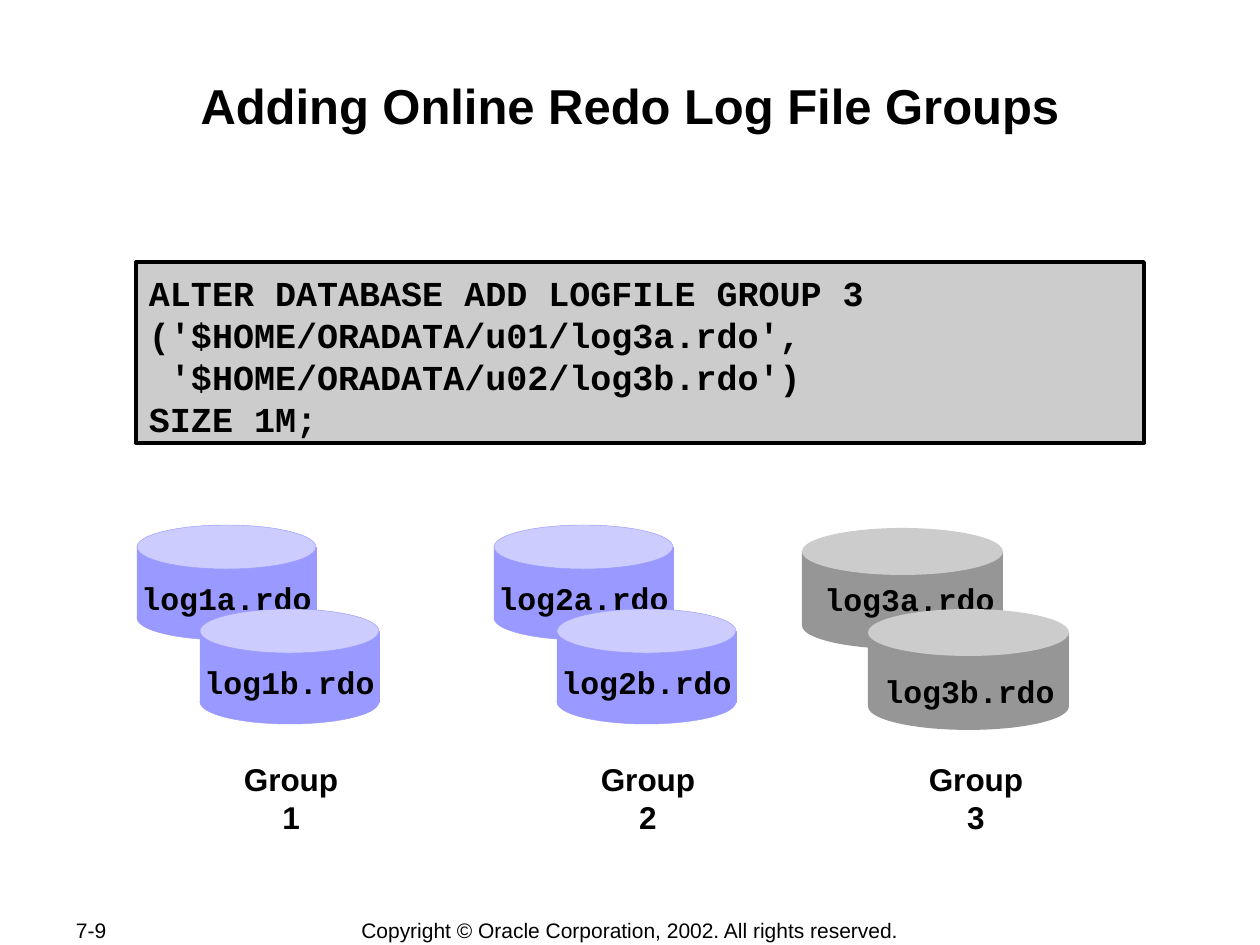
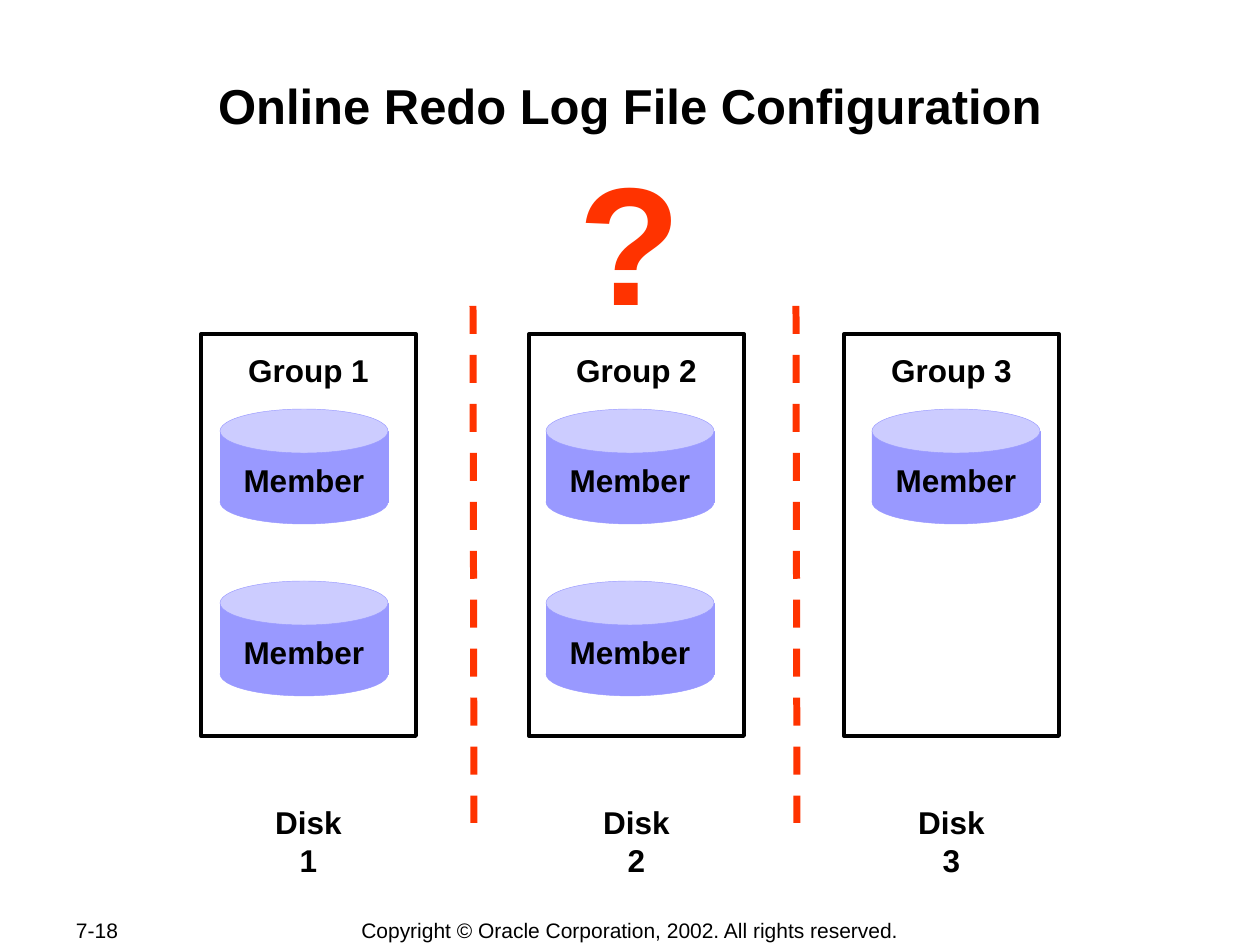
from pptx import Presentation, util as u
from pptx.dml.color import RGBColor
from pptx.enum import dml, shapes, text
from pptx.oxml import parse_xml
from pptx.oxml.ns import nsdecls

SCALE = 914400 / 126
INK = {"black": "000000", "red": "FF3300", "grey": "969696", "silver": "CCCCCC",
       "blue": "9999FF", "pale": "CCCCFF"}
SANS, MONO = "Arial", "Courier New"
MARK = "Copyright © Oracle Corporation, 2002. All rights reserved."
CODE = ["ALTER DATABASE ADD LOGFILE GROUP 3 ('$HOME/ORADATA/u01/log3a.rdo',",
        " '$HOME/ORADATA/u02/log3b.rdo')",
        "SIZE 1M;"]


def px(*sizes):
    """Turn pixel lengths into EMU."""
    return [round(size * SCALE) for size in sizes]


def tint(name):
    """Look up a named colour."""
    return RGBColor.from_string(INK[name])


def write(shape, lines, size, font=SANS, ink="black", bold=True, align="CENTER",
          pad=(13, 6), wrap=True, anchor="TOP"):
    """Fill a shape with evenly styled lines of text."""
    frame = shape.text_frame
    frame.text = "\n".join(lines)
    frame.word_wrap = wrap
    frame.vertical_anchor = text.MSO_ANCHOR[anchor]
    frame.margin_left = frame.margin_right = px(pad[0])[0]
    frame.margin_top = frame.margin_bottom = px(pad[1])[0]
    for line in frame.paragraphs:
        line.alignment = text.PP_ALIGN[align]
        line.line_spacing = u.Pt(round(size * 1.2, 1))
        for run in line.runs:
            run.font.name = font
            run.font.size = u.Pt(size)
            run.font.bold = bold
            run.font.color.rgb = tint(ink)


def label(parent, words, box, size=18, **style):
    """Place one line of text in a box."""
    write(parent.shapes.add_textbox(*px(*box)), [words], size, **style)


def solid(parent, kind, box, fill=None, line=None, width=0.25):
    """Draw a preset shape with plain fill and line."""
    shape = parent.shapes.add_shape(shapes.MSO_SHAPE[kind], *px(*box))
    shape.shadow.inherit = False
    if fill:
        shape.fill.solid()
        shape.fill.fore_color.rgb = tint(fill)
    else:
        shape.fill.background()
    if line:
        shape.line.color.rgb = tint(line)
        shape.line.width = u.Pt(width)
    else:
        shape.line.fill.background()
    return shape


def can(slide, words, box, lid, side="blue", top="pale", line="blue",
        font=SANS, shift=(0, 45)):
    """Group a body, a lid, a base and a label into a disk can."""
    x, y, w, h = box
    group = slide.shapes.add_group_shape()
    solid(group, "RECTANGLE", (x, y + lid / 2, w, h - lid), side, line)
    solid(group, "OVAL", (x, y, w, lid), top, line)
    solid(group, "OVAL", (x, y + h - lid, w, lid), side, line)
    label(group, words, (x - 12 + shift[0], y + shift[1], w + 24, 54),
          font=font, pad=(13, 9), wrap=False)


def split(slide, x):
    """Draw a dashed upright divider."""
    line = slide.shapes.add_connector(shapes.MSO_CONNECTOR.STRAIGHT,
                                      *px(x, 306, x + 1, 823))
    line.line.color.rgb = tint("red")
    line.line.width = u.Pt(4)
    line.line.dash_style = dml.MSO_LINE.DASH
    line._element.spPr.append(parse_xml(f"<a:effectLst {nsdecls('a')}/>"))


def start(deck, title, page):
    """Add a slide with its title and footer."""
    slide = deck.slides.add_slide(deck.slide_layouts[6])
    foot = dict(size=12, bold=False, wrap=False, anchor="MIDDLE")
    label(slide, page, (63, 917, 134, 26), align="LEFT", **foot)
    label(slide, MARK, (347, 917, 566, 26), **foot)
    label(slide, title, (126, 75, 1008, 121), size=28, pad=(1, 1))
    return slide


def adding(deck):
    """Build the slide on adding groups."""
    slide = start(deck, "Adding Online Redo Log File Groups", "7-9")
    block = solid(slide, "RECTANGLE", (136, 262, 1008, 181), "silver", "black", 2.25)
    write(block, CODE, 20, font=MONO, align="LEFT", pad=(13, 9))
    for i, x in enumerate((137, 494), 1):
        for j, part in enumerate("ab"):
            can(slide, f"log{i}{part}.rdo", (x + 63 * j, 525 + 84 * j, 179, 115),
                44, font=MONO)
    for part, x, y, shift in (("a", 802, 528, (7, 43)), ("b", 868, 609, (1, 54))):
        can(slide, f"log3{part}.rdo", (x, y, 201, 121), 47, "grey", "silver",
            None, MONO, shift)
    for i, x in enumerate((218, 575, 903), 1):
        label(slide, f"Group {i}", (x, 754, 146, 50))


def layout(deck):
    """Build the slide on spreading members over disks."""
    slide = start(deck, "Online Redo Log File Configuration", "7-18")
    for i, x in enumerate((201, 529, 844)):
        solid(slide, "RECTANGLE", (x, 334, 215, 402), None, "black", 2.25)
        label(slide, f"Group {i + 1}", (x - 4, 345, 223, 50))
        label(slide, f"Disk {i + 1}", (x + 57, 797, 101, 88))
        for j in range(1 if i == 2 else 2):
            can(slide, "Member", (220 + 326 * i, 409 + 172 * j, 168, 115), 44,
                shift=(0, 43))
    for x in (473, 796):
        split(slide, x)
    label(slide, "?", (566, 132, 127, 214), size=96, ink="red", wrap=False)


def main():
    """Build and save the deck."""
    deck = Presentation()
    deck.slide_width, deck.slide_height = px(1260, 945)
    adding(deck)
    layout(deck)
    deck.save("out.pptx")


if __name__ == "__main__":
    main()
